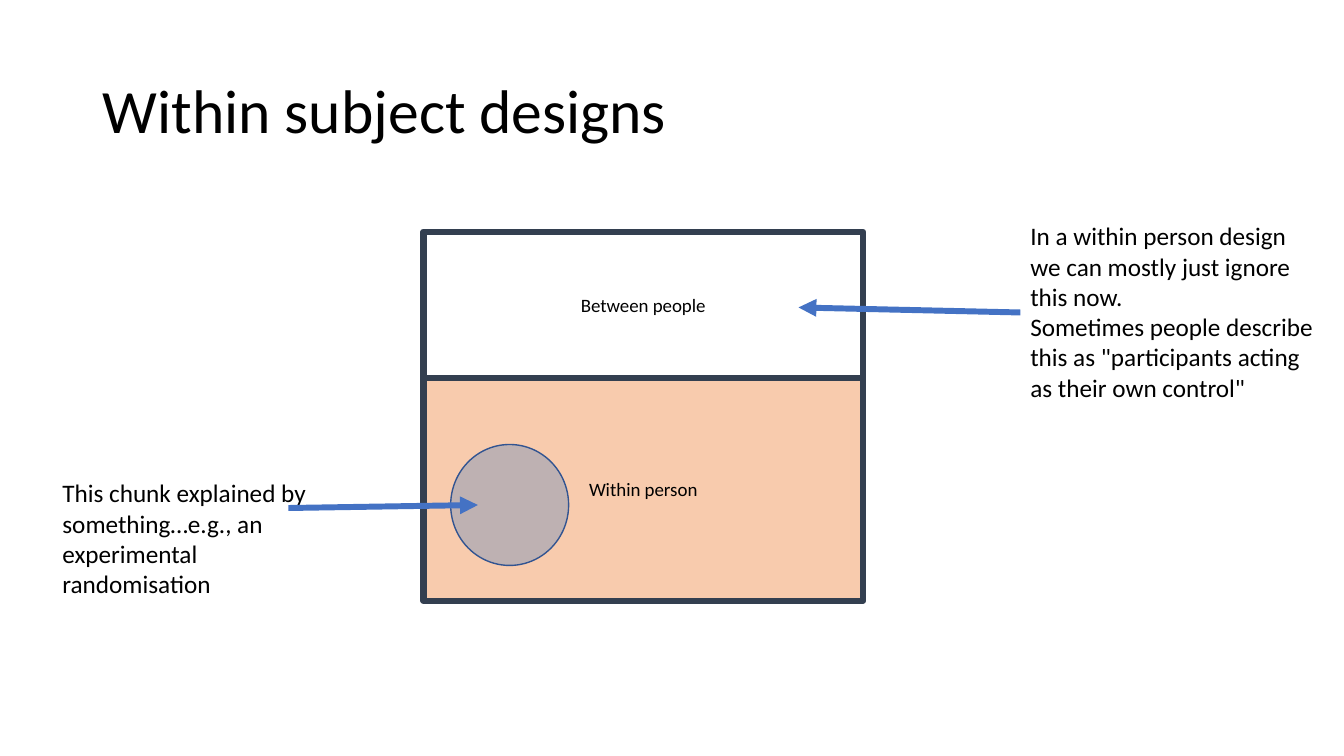
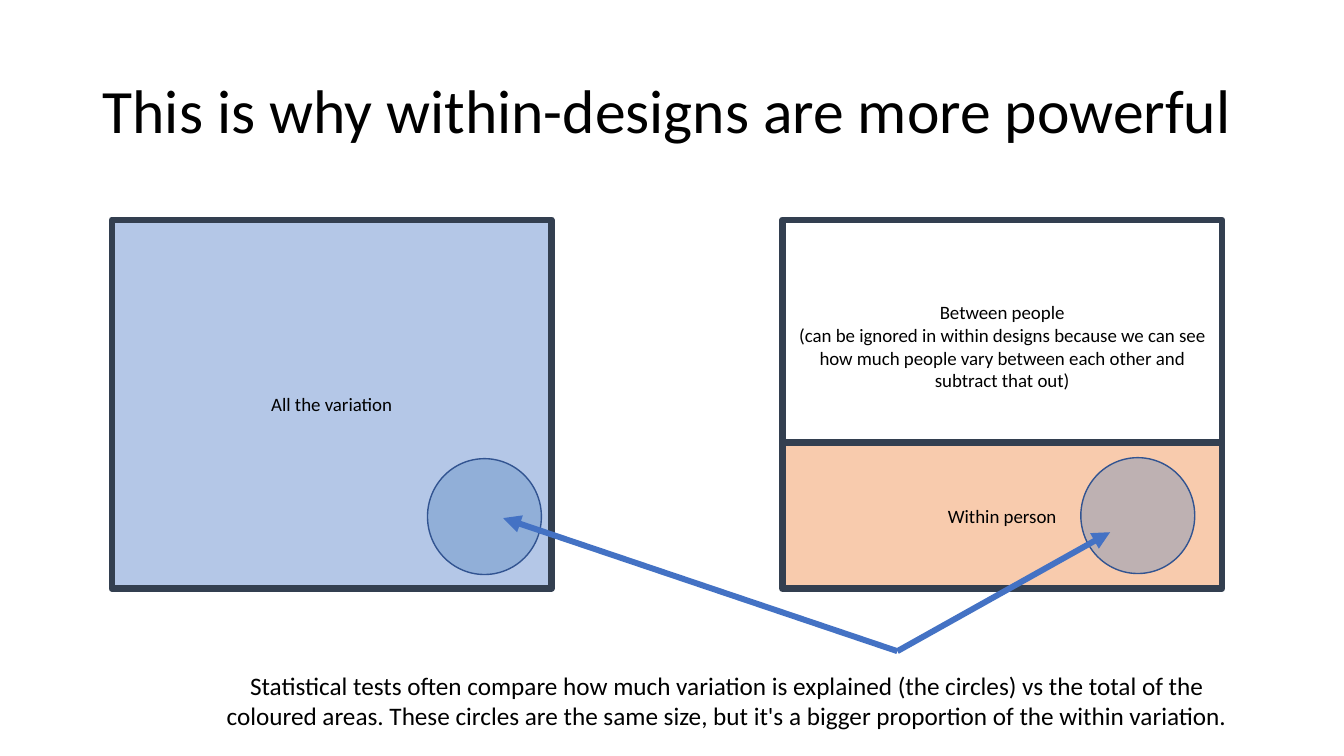
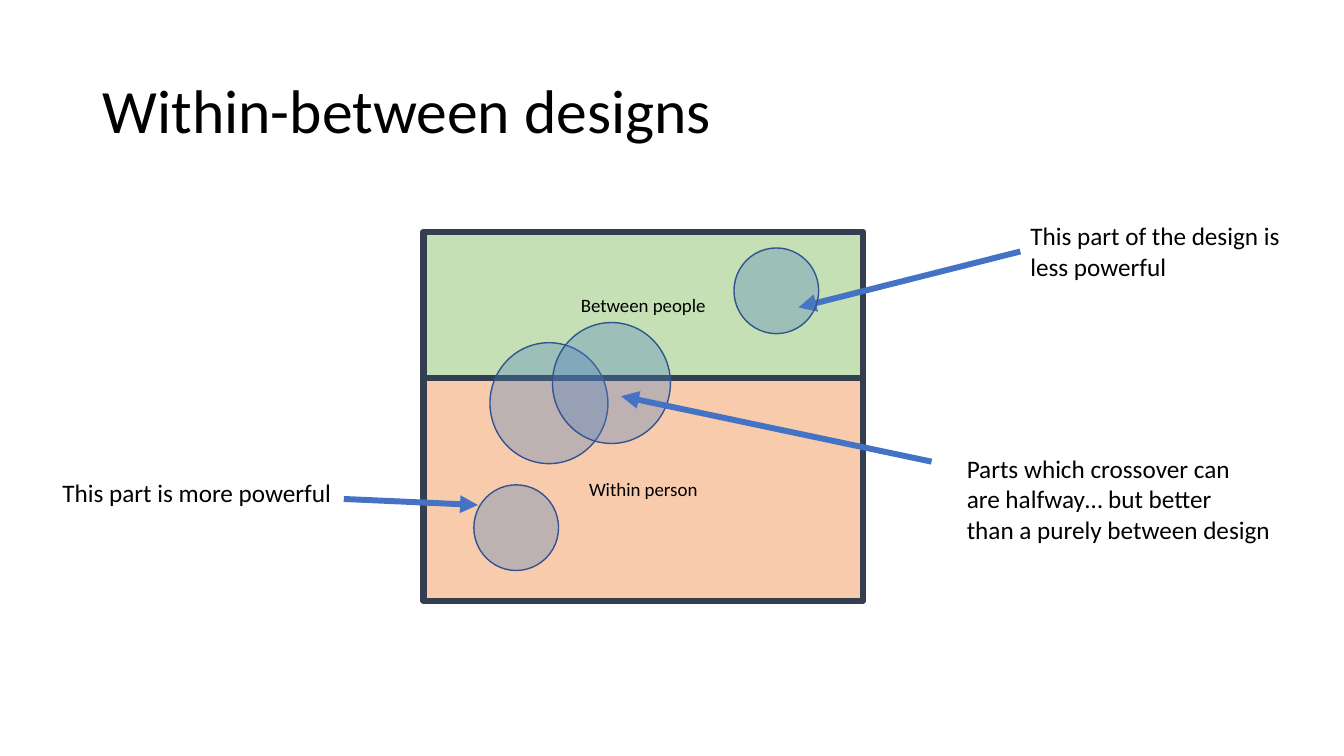
from dataclasses import dataclass

from pptx import Presentation
from pptx.dml.color import RGBColor
from pptx.enum.shapes import MSO_CONNECTOR, MSO_SHAPE
from pptx.enum.text import MSO_ANCHOR, MSO_AUTO_SIZE, PP_ALIGN
from pptx.oxml.ns import qn
from pptx.shapes.autoshape import Shape
from pptx.slide import Slide
from pptx.text.text import TextFrame
from pptx.util import Emu, Pt
from lxml.etree import SubElement

EMU_PER_PX = 9144  # 100 px to the inch


@dataclass(frozen=True)
class Theme:
    font: str = "Calibri"
    title_size: float = 44
    note_size: float = 18
    label_size: float = 13.5
    text: str = "000000"
    border: str = "333F50"
    border_width: float = 4.5
    total: str = "B4C7E7"
    between: str = "C5E0B4"
    within: str = "F8CBAD"
    circle: str = "4F81BD"
    circle_opacity: int = 34
    circle_border: str = "325491"
    circle_border_width: float = 1
    arrow: str = "4472C4"
    arrow_width: float = 4.25


THEME = Theme()


# Elements of a slide, lengths in px
@dataclass(frozen=True)
class Area:
    left: int
    top: int
    width: int
    height: int
    lines: tuple[str, ...]
    fill: str | None = None


@dataclass(frozen=True)
class Circle:
    left: int
    top: int
    width: int
    height: int


@dataclass(frozen=True)
class Note:
    left: int
    top: int
    width: int
    height: int
    lines: tuple[str, ...]
    align: PP_ALIGN = PP_ALIGN.LEFT
    wrap: bool = True


@dataclass(frozen=True)
class Arrow:
    begin: tuple[int, int] | Note  # a note is joined at its left side
    end: tuple[int, int]


Element = Area | Circle | Note | Arrow


@dataclass(frozen=True)
class Page:
    title: str
    elements: tuple[Element, ...]


def px(length: float) -> Emu:
    return Emu(round(length * EMU_PER_PX))


def frame(element: Area | Circle | Note) -> tuple[Emu, Emu, Emu, Emu]:
    return px(element.left), px(element.top), px(element.width), px(element.height)


def write(text_frame: TextFrame, lines: tuple[str, ...], size: float,
          align: PP_ALIGN, spacing: float | None = None) -> None:
    text_frame.text = "\n".join(lines)
    for paragraph in text_frame.paragraphs:
        paragraph.alignment = align
        paragraph.line_spacing = spacing
        for run in paragraph.runs:
            run.font.name = THEME.font
            run.font.size = Pt(size)
            run.font.color.rgb = RGBColor.from_string(THEME.text)


def draw_title(slide: Slide, title: str) -> None:
    text_frame = slide.shapes.add_textbox(px(92), px(40), px(1150), px(145)).text_frame
    text_frame.word_wrap = True
    text_frame.vertical_anchor = MSO_ANCHOR.MIDDLE
    write(text_frame, (title,), THEME.title_size, PP_ALIGN.LEFT, 0.9)


def add_outlined(slide: Slide, preset: MSO_SHAPE, element: Area | Circle,
                 fill: str | None, border: str, width: float) -> Shape:
    shape = slide.shapes.add_shape(preset, *frame(element))
    shape.shadow.inherit = False
    if fill:
        shape.fill.solid()
        shape.fill.fore_color.rgb = RGBColor.from_string(fill)
    else:
        shape.fill.background()
    shape.line.color.rgb = RGBColor.from_string(border)
    shape.line.width = Pt(width)
    return shape


def draw_area(slide: Slide, area: Area) -> None:
    shape = add_outlined(slide, MSO_SHAPE.RECTANGLE, area, area.fill,
                         THEME.border, THEME.border_width)
    shape.text_frame.vertical_anchor = MSO_ANCHOR.MIDDLE
    write(shape.text_frame, area.lines, THEME.label_size, PP_ALIGN.CENTER)


def draw_circle(slide: Slide, circle: Circle) -> None:
    shape = add_outlined(slide, MSO_SHAPE.OVAL, circle, THEME.circle,
                         THEME.circle_border, THEME.circle_border_width)
    color = shape._element.spPr.find(qn("a:solidFill")).find(qn("a:srgbClr"))
    SubElement(color, qn("a:alpha"), val=str(THEME.circle_opacity * 1000))


def draw_note(slide: Slide, note: Note) -> Shape:
    shape = slide.shapes.add_textbox(*frame(note))
    shape.text_frame.word_wrap = note.wrap
    shape.text_frame.auto_size = MSO_AUTO_SIZE.SHAPE_TO_FIT_TEXT
    write(shape.text_frame, note.lines, THEME.note_size, note.align)
    return shape


def draw_arrow(slide: Slide, arrow: Arrow, notes: dict[Note, Shape]) -> None:
    joined = isinstance(arrow.begin, Note)
    begin = (arrow.begin.left, arrow.begin.top) if joined else arrow.begin
    connector = slide.shapes.add_connector(
        MSO_CONNECTOR.STRAIGHT, *map(px, begin), *map(px, arrow.end))
    if joined:
        connector.begin_connect(notes[arrow.begin], 1)
    connector.line.color.rgb = RGBColor.from_string(THEME.arrow)
    connector.line.width = Pt(THEME.arrow_width)
    line = connector._element.spPr.find(qn("a:ln"))
    SubElement(line, qn("a:tailEnd"), type="triangle")
    SubElement(connector._element.spPr, qn("a:effectLst"))


def draw_page(slide: Slide, page: Page) -> None:
    draw_title(slide, page.title)
    notes: dict[Note, Shape] = {}
    for element in page.elements:
        match element:
            case Area():
                draw_area(slide, element)
            case Circle():
                draw_circle(slide, element)
            case Note():
                notes[element] = draw_note(slide, element)
            case Arrow():
                draw_arrow(slide, element, notes)


def split_square(between_fill: str | None = None) -> tuple[Area, Area]:
    """Variation between people stacked on variation within a person."""
    return (Area(420, 230, 436, 145, ("Between people",), between_fill),
            Area(420, 375, 436, 221, ("Within person",), THEME.within))


def large_circle(left: int, top: int) -> Circle:
    return Circle(left, top, 117, 120)


def medium_circle(left: int, top: int) -> Circle:
    return Circle(left, top, 113, 115)


def small_circle(left: int, top: int) -> Circle:
    return Circle(left, top, 84, 85)


# Content
BETWEEN_TIP = (792, 305)
WITHIN_TIP = (474, 501)
FORK = (890, 646)

IGNORE_NOTE = Note(1012, 214, 301, 192, (
    "In a within person design we can mostly just ignore this now.",
    'Sometimes people describe this as "participants acting as their own control"'))
LESS_POWERFUL_NOTE = Note(1012, 214, 301, 71, ("This part of the design is less powerful",))

PAGES = (
    Page("Within subject designs", (
        *split_square(),
        large_circle(447, 441),
        IGNORE_NOTE,
        Arrow(IGNORE_NOTE, BETWEEN_TIP),
        Note(52, 469, 301, 131, (
            "This chunk explained by something…e.g., an experimental randomisation",)),
        Arrow((286, 504), WITHIN_TIP),
    )),
    Page("This is why within-designs are more powerful", (
        Note(211, 660, 1020, 71, (
            "Statistical tests often compare how much variation is explained (the circles) "
            "vs the total of the coloured areas. These circles are the same size, but it's "
            "a bigger proportion of the within variation.",), PP_ALIGN.CENTER),
        Area(111, 218, 436, 366, ("All the variation",), THEME.total),
        medium_circle(424, 455),
        Arrow(FORK, (499, 514)),
        Area(776, 218, 436, 251, (
            "Between people",
            "(can be ignored in within designs because we can see how much people vary "
            "between each other and subtract that out)")),
        Area(776, 439, 436, 145, ("Within person",), THEME.within),
        medium_circle(1072, 454),
        Arrow(FORK, (1101, 528)),
    )),
    Page("Within-between designs", (
        *split_square(THEME.between),
        large_circle(486, 340),
        LESS_POWERFUL_NOTE,
        Arrow(LESS_POWERFUL_NOTE, BETWEEN_TIP),
        Note(52, 469, 301, 40, ("This part is more powerful",)),
        Arrow((341, 495), WITHIN_TIP),
        large_circle(548, 320),
        Note(949, 445, 325, 101, (
            "Parts which crossover can",
            "are halfway… but better",
            "than a purely between design"), wrap=False),
        Arrow((924, 458), (616, 393)),
        small_circle(728, 246),
        small_circle(470, 481),
    )),
)


def main() -> None:
    presentation = Presentation()
    presentation.slide_width = px(1333)
    presentation.slide_height = px(750)
    blank_layout = presentation.slide_layouts[6]
    for page in PAGES:
        draw_page(presentation.slides.add_slide(blank_layout), page)
    presentation.save("out.pptx")


if __name__ == "__main__":
    main()
